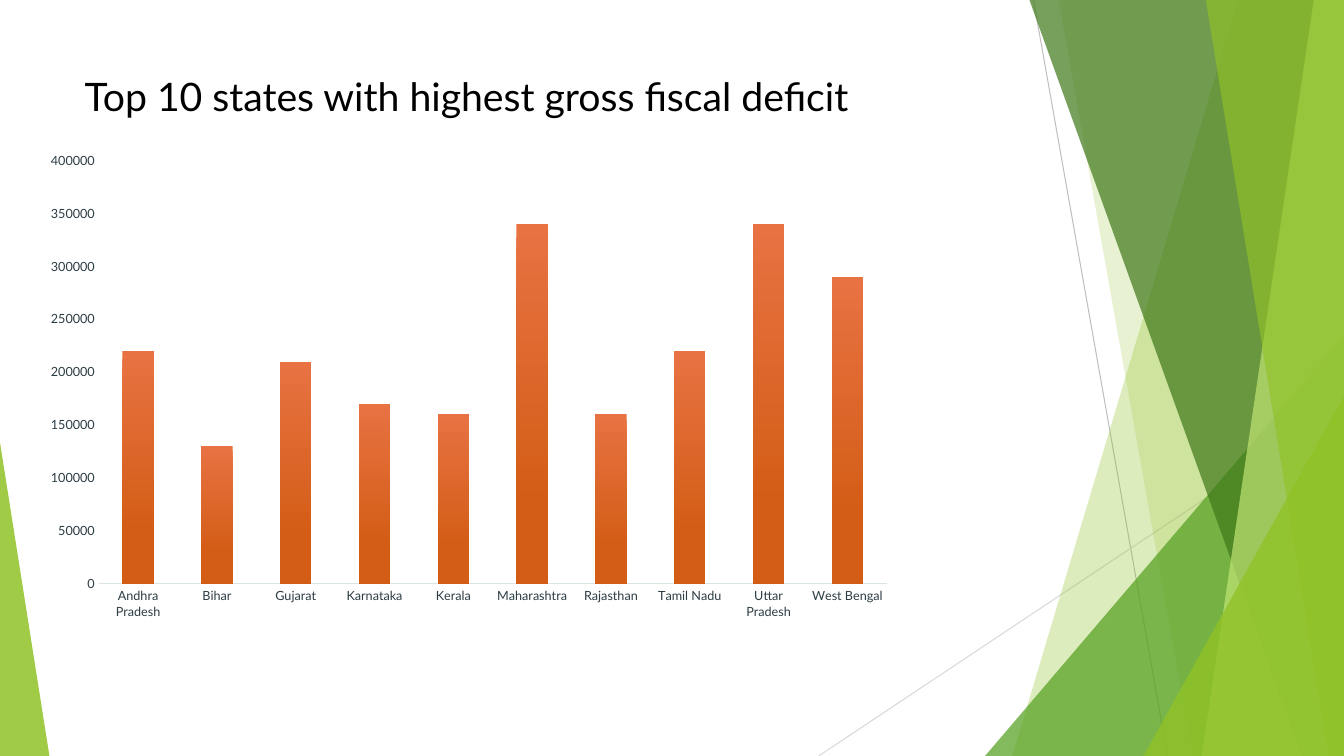
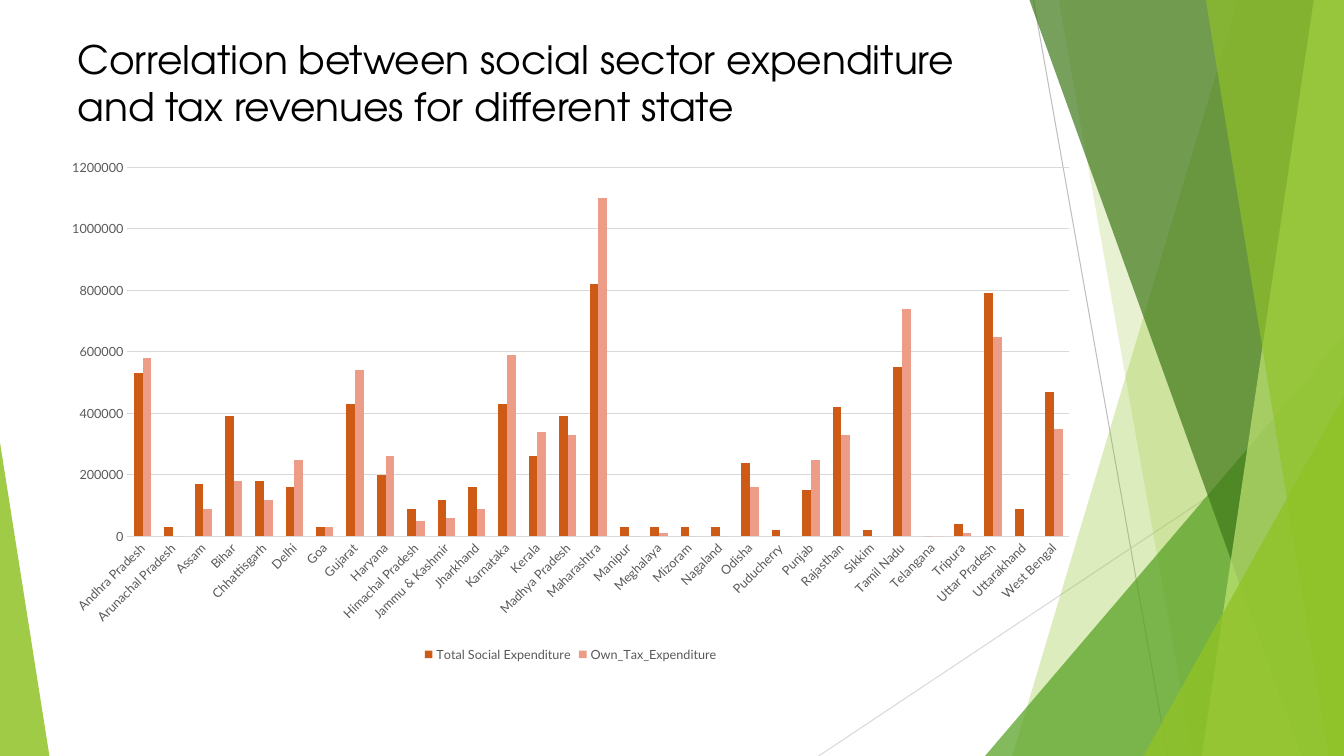
from dataclasses import dataclass
from typing import NamedTuple

from lxml.etree import SubElement
from pptx import Presentation
from pptx.chart.data import CategoryChartData
from pptx.dml.color import RGBColor
from pptx.enum.chart import XL_CHART_TYPE, XL_LEGEND_POSITION, XL_TICK_MARK
from pptx.enum.shapes import MSO_CONNECTOR, MSO_SHAPE
from pptx.enum.text import MSO_ANCHOR
from pptx.oxml import parse_xml
from pptx.oxml.ns import nsdecls, qn
from pptx.util import Inches, Pt


@dataclass(frozen=True)
class Theme:
    """Colours, fonts and type sizes of the deck."""
    green: str = "90C226"
    leaf: str = "54A021"
    forest: str = "3F7819"
    lime: str = "C0E474"
    black: str = "000000"
    slate: str = "2C3C43"
    gray: str = "595959"
    mist: str = "DBE4E7"
    silver: str = "BFBFBF"
    rule: str = "D9D9D9"
    orange_light: str = "E87242"
    orange_deep: str = "D35D16"
    orange: str = "CD5B15"
    salmon: str = "ED9C87"
    body_font: str = "Lato"
    display_font: str = "TeX Gyre Adventor"
    title_size: int = 28
    chart_size: int = 10
    label_size: int = 9
    hairline: float = 0.75


class Box(NamedTuple):
    """A region of the slide in inches."""
    x: float
    y: float
    w: float
    h: float

    def emu(self):
        """Return the region as lengths."""
        return [Inches(v) for v in self]


T = Theme()
SLIDE = Box(0, 0, 13.33, 7.5)

DEFICIT = {
    "Andhra Pradesh": 220000, "Bihar": 130000, "Gujarat": 210000,
    "Karnataka": 170000, "Kerala": 160000, "Maharashtra": 340000,
    "Rajasthan": 160000, "Tamil Nadu": 220000, "Uttar Pradesh": 340000,
    "West Bengal": 290000,
}

SPENDING_AND_TAX = {
    "Andhra Pradesh": (530000, 580000), "Arunachal Pradesh": (30000, 0),
    "Assam": (170000, 90000), "Bihar": (390000, 180000),
    "Chhattisgarh": (180000, 120000), "Delhi": (160000, 250000),
    "Goa": (30000, 30000), "Gujarat": (430000, 540000),
    "Haryana": (200000, 260000), "Himachal Pradesh": (90000, 50000),
    "Jammu & Kashmir": (120000, 60000), "Jharkhand": (160000, 90000),
    "Karnataka": (430000, 590000), "Kerala": (260000, 340000),
    "Madhya Pradesh": (390000, 330000), "Maharashtra": (820000, 1100000),
    "Manipur": (30000, 0), "Meghalaya": (30000, 10000),
    "Mizoram": (30000, 0), "Nagaland": (30000, 0),
    "Odisha": (240000, 160000), "Puducherry": (20000, 0),
    "Punjab": (150000, 250000), "Rajasthan": (420000, 330000),
    "Sikkim": (20000, 0), "Tamil Nadu": (550000, 740000),
    "Telangana": (0, 0), "Tripura": (40000, 10000),
    "Uttar Pradesh": (790000, 650000), "Uttarakhand": (90000, 0),
    "West Bengal": (470000, 350000),
}


def rgb(color):
    """Turn a hex string into a colour."""
    return RGBColor.from_string(color)


def style_font(font, size, color, name=T.body_font):
    """Set the size, colour and face of a font."""
    font.size, font.name, font.bold = Pt(size), name, False
    font.color.rgb = rgb(color)


def style_line(line, color=None):
    """Draw a hairline in a colour, or no line."""
    if color is None:
        line.fill.background()
    else:
        line.color.rgb = rgb(color)
        line.width = Pt(T.hairline)


def tint(sp, color, opacity):
    """Fill a shape with a partly transparent colour."""
    sp.shadow.inherit = False
    sp.fill.solid()
    sp.fill.fore_color.rgb = rgb(color)
    sp.line.fill.background()
    clr = sp.element.spPr.find(qn("a:solidFill"))[0]
    SubElement(clr, qn("a:alpha"), val=str(opacity * 1000))


def add_rule(shapes, start, end, color):
    """Draw a thin straight line."""
    cxn = shapes.add_connector(MSO_CONNECTOR.STRAIGHT,
                               *[Inches(v) for v in (*start, *end)])
    style_line(cxn.line, color)
    SubElement(cxn.element.spPr, qn("a:effectLst"))


def add_band(shapes, box, top_x, bottom_x, color, opacity):
    """Fill the area between a slanted edge and the right side of a box."""
    right, bottom = box.x + box.w, box.y + box.h
    corners = [(top_x, box.y), (right, box.y), (right, bottom), (bottom_x, bottom)]
    points = [(Inches(x), Inches(y)) for x, y in corners]
    fb = shapes.build_freeform(*points[0])
    fb.add_line_segments(points[1:])
    tint(fb.convert_to_shape(), color, opacity)


def add_corner(shapes, box, width, height, apex, color, opacity):
    """Set a right triangle in a bottom corner; apex 0 is left, 1 is right."""
    place = Box(box.x + apex * (box.w - width), box.y + box.h - height, width, height)
    sp = shapes.add_shape(MSO_SHAPE.ISOSCELES_TRIANGLE, *place.emu())
    sp.adjustments[0] = apex
    tint(sp, color, opacity)


def add_backdrop(slide, layout, box):
    """Draw the facets once and move them to the layout."""
    for ph in list(layout.placeholders):
        layout.shapes.element.remove(ph.element)
    group = slide.shapes.add_group_shape()
    shapes = group.shapes
    right, bottom = box.x + box.w, box.y + box.h
    add_rule(shapes, (10.25, box.y), (11.58, bottom), T.silver)
    add_rule(shapes, (right, 4.03), (8.12, bottom), T.rule)
    add_band(shapes, box, 12.28, 10.04, T.green, 30)
    add_band(shapes, box, 10.5, 11.83, T.green, 20)
    add_corner(shapes, box, 3.56, 4.17, 1, T.leaf, 72)
    add_band(shapes, box, 10.21, 12.91, T.forest, 70)
    add_band(shapes, box, 13.03, 11.92, T.lime, 70)
    add_band(shapes, box, 11.96, 13.18, T.green, 65)
    add_corner(shapes, box, 1.99, 3.57, 1, T.green, 80)
    add_corner(shapes, box, 0.49, 3.11, 0, T.green, 85)
    layout.shapes.element.append(group.element)


def add_title(slide, box, text, font_name):
    """Place the slide title."""
    tf = slide.shapes.add_textbox(*box.emu()).text_frame
    tf.word_wrap = True
    tf.vertical_anchor = MSO_ANCHOR.TOP
    tf.text = text
    style_font(tf.paragraphs[0].runs[0].font, T.title_size, T.black, font_name)


def add_columns(slide, box, names, rows, top, step, color):
    """Place a clustered column chart with plain axes."""
    data = CategoryChartData()
    data.categories = list(rows)
    for name, values in zip(names, zip(*rows.values())):
        data.add_series(name, values)
    chart = slide.shapes.add_chart(
        XL_CHART_TYPE.COLUMN_CLUSTERED, *box.emu(), data).chart
    chart.has_title = chart.has_legend = False
    style_font(chart.font, T.chart_size, T.black)
    chart.plots[0].gap_width = 150
    chart.plots[0].vary_by_categories = False
    for axis in (chart.category_axis, chart.value_axis):
        axis.major_tick_mark = axis.minor_tick_mark = XL_TICK_MARK.NONE
        axis.has_major_gridlines = False
        style_font(axis.tick_labels.font, T.label_size, color)
        style_line(axis.format.line)
    axis = chart.value_axis
    axis.minimum_scale, axis.maximum_scale, axis.major_unit = 0, top, step
    return chart


def set_plot_area(chart, area):
    """Fix the inner plot area as fractions of the chart."""
    plot = chart.element.xpath(".//c:plotArea")[0]
    for old in plot.findall(qn("c:layout")):
        plot.remove(old)
    sizes = "".join(f'<c:{k} val="{v}"/>' for k, v in zip("xywh", area))
    plot.insert(0, parse_xml(
        f'<c:layout {nsdecls("c")}><c:manualLayout><c:layoutTarget val="inner"/>'
        f'<c:xMode val="edge"/><c:yMode val="edge"/>{sizes}'
        "</c:manualLayout></c:layout>"))


def deficit_slide(slide, box):
    """Show the ten states with the highest deficit."""
    add_title(slide, Box(box.x + 0.74, box.y + 0.67, 9.4, 0.86),
              "Top 10 states with highest gross fiscal deficit", T.body_font)
    rows = {state: (value,) for state, value in DEFICIT.items()}
    chart = add_columns(slide, Box(box.x + 0.25, box.y + 1.36, 8.58, 5.29),
                        ["Series 1"], rows, 400000, 50000, T.slate)
    set_plot_area(chart, Box(0.085, 0.044, 0.911, 0.794))
    style_line(chart.category_axis.format.line, T.mist)
    fill = chart.series[0].format.fill
    fill.gradient()
    fill.gradient_angle = 270
    stops = ((0, T.orange_light), (0.78, T.orange_deep))
    for stop, (position, color) in zip(fill.gradient_stops, stops):
        stop.position = position
        stop.color.rgb = rgb(color)


def correlation_slide(slide, box):
    """Compare social expenditure and tax revenue by state."""
    add_title(slide, Box(box.x + 0.67, box.y + 0.3, 9.4, 1.18),
              "Correlation between social sector expenditure and tax revenues "
              "for different state", T.display_font)
    chart = add_columns(slide, Box(box.x + 0.51, box.y + 1.48, 10.3, 5.13),
                        ["Total Social Expenditure", "Own_Tax_Expenditure"],
                        SPENDING_AND_TAX, 1200000, 200000, T.gray)
    chart.value_axis.has_major_gridlines = True
    style_line(chart.value_axis.major_gridlines.format.line, T.rule)
    chart.element.xpath(".//c:catAx/c:txPr/a:bodyPr")[0].set("rot", "-2700000")
    chart.has_legend = True
    chart.legend.position = XL_LEGEND_POSITION.BOTTOM
    chart.legend.include_in_layout = False
    style_font(chart.legend.font, T.label_size, T.gray)
    for series, color in zip(chart.series, (T.orange, T.salmon)):
        series.format.fill.solid()
        series.format.fill.fore_color.rgb = rgb(color)


def main():
    """Build and save the deck."""
    prs = Presentation()
    prs.slide_width, prs.slide_height = Inches(SLIDE.w), Inches(SLIDE.h)
    layout = prs.slide_layouts[6]
    slides = [prs.slides.add_slide(layout) for _ in range(2)]
    add_backdrop(slides[0], layout, SLIDE)
    for build, slide in zip((deficit_slide, correlation_slide), slides):
        build(slide, SLIDE)
    prs.save("out.pptx")


if __name__ == "__main__":
    main()
